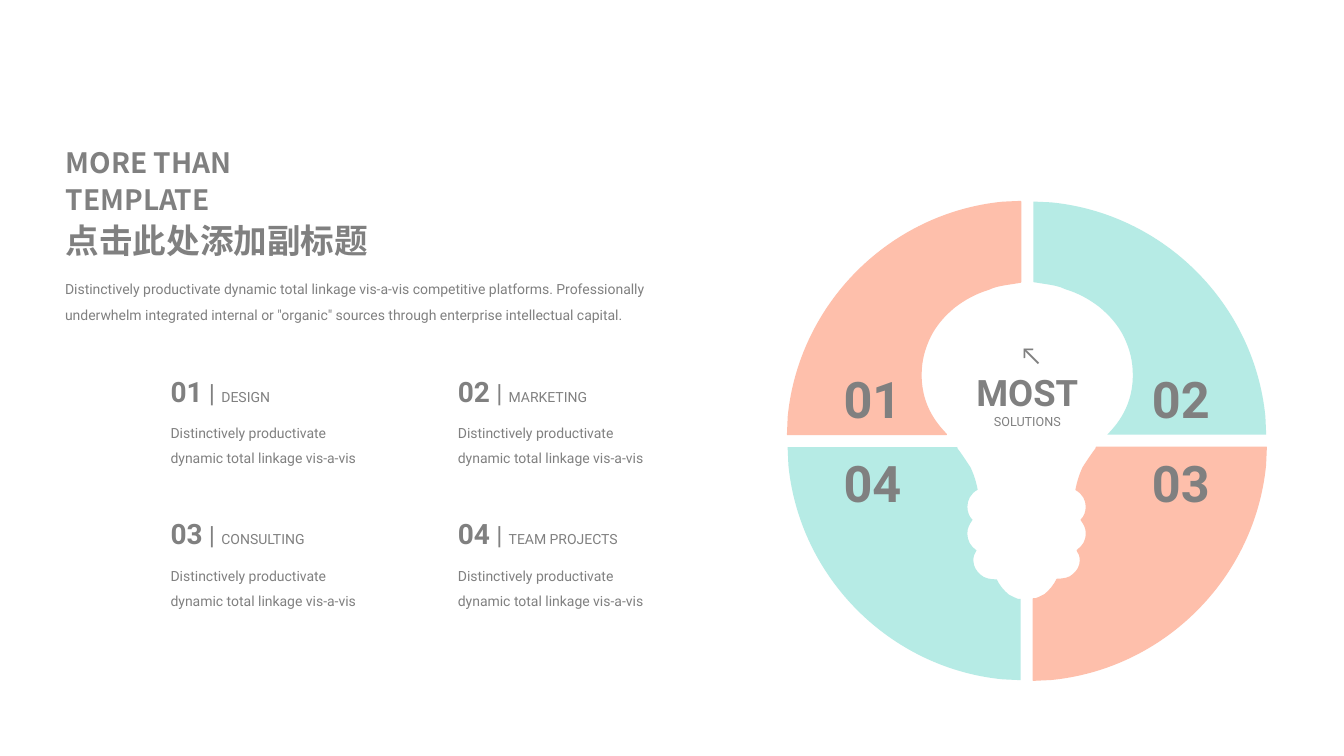
from dataclasses import dataclass

from lxml import etree
from pptx import Presentation
from pptx.dml.color import RGBColor
from pptx.enum.shapes import MSO_SHAPE
from pptx.enum.text import MSO_ANCHOR, MSO_AUTO_SIZE, PP_ALIGN
from pptx.oxml.ns import qn
from pptx.shapes.autoshape import Shape
from pptx.slide import Slide
from pptx.text.text import TextFrame
from pptx.util import Cm, Pt

LEFT, CENTER = PP_ALIGN.LEFT, PP_ALIGN.CENTER
TOP, MIDDLE = MSO_ANCHOR.TOP, MSO_ANCHOR.MIDDLE
FIT_SHAPE = MSO_AUTO_SIZE.SHAPE_TO_FIT_TEXT
RECTANGLE = MSO_SHAPE.RECTANGLE
GRAY = RGBColor(0x80, 0x80, 0x80)
CORAL = RGBColor(0xFE, 0xBF, 0xAB)
MINT = RGBColor(0xB6, 0xEB, 0xE5)
BODY_FONT, TITLE_FONT, ARROW_FONT = "Roboto", "Noto Sans CJK SC", "Calibri"

CENTER_X, CENTER_Y = 25.88, 11.11

UPPER_CONTOUR = [
    (-0.16, -4), (-0.48, -3.95),
    (-0.66, -3.92, -0.81, -3.9, -0.97, -3.82),
    (-1.3, -3.72, -1.57, -3.57, -1.83, -3.37),
    (-2.08, -3.16, -2.29, -2.93, -2.44, -2.63),
    (-2.59, -2.32, -2.67, -2.02, -2.67, -1.66),
    (-2.67, -1.13, -2.49, -0.67, -2.13, -0.27),
    (-2.03, -0.16), (-6.03, -0.16), (-6.01, -0.61),
    (-5.73, -3.45, -3.45, -5.73, -0.61, -6.01),
    (-0.16, -6.03),
]
LOWER_CONTOUR = [
    (-1.75, 0.16), (-1.75, 0.19),
    (-1.65, 0.32, -1.55, 0.47, -1.42, 0.67),
    (-1.32, 0.88, -1.27, 1.08, -1.24, 1.23),
    (-1.42, 1.33, -1.5, 1.49, -1.5, 1.66),
    (-1.5, 1.79, -1.45, 1.92, -1.37, 1.99),
    (-1.45, 2.1, -1.5, 2.2, -1.5, 2.32),
    (-1.5, 2.53, -1.42, 2.65, -1.27, 2.76),
    (-1.32, 2.83, -1.35, 2.91, -1.35, 3.01),
    (-1.35, 3.16, -1.27, 3.29, -1.17, 3.37),
    (-1.07, 3.47, -0.91, 3.49, -0.76, 3.49),
    (-0.69, 3.64, -0.58, 3.77, -0.46, 3.87),
    (-0.38, 3.92, -0.3, 3.95, -0.23, 3.98),
    (-0.16, 3.98), (-0.16, 6.03), (-0.61, 6.01),
    (-3.45, 5.73, -5.73, 3.45, -6.01, 0.61),
    (-6.03, 0.16),
]


@dataclass
class Span:
    text: str
    size: float
    bold: bool = False
    font: str = BODY_FONT


@dataclass
class Box:
    left: float
    top: float
    width: float
    height: float


@dataclass
class Sector:
    number: str
    is_right: bool
    is_lower: bool
    color: RGBColor
    has_line: bool = False
    has_plate: bool = False


@dataclass
class Item:
    number: str
    name: str
    width: float


SECTORS = [
    Sector("01", False, False, CORAL, has_line=True),
    Sector("02", True, False, MINT),
    Sector("04", False, True, MINT, has_plate=True),
    Sector("03", True, True, CORAL, has_line=True),
]
ITEMS = [
    Item("01", "DESIGN", 3.2),
    Item("02", "MARKETING", 3.94),
    Item("03", "CONSULTING", 4.17),
    Item("04", "TEAM PROJECTS", 4.8),
]


def place(shape: Shape, box: Box) -> None:
    shape.left, shape.top = Cm(box.left), Cm(box.top)
    shape.width, shape.height = Cm(box.width), Cm(box.height)


def fill_text(tf: TextFrame, lines: list[list[Span]], wrap: bool = False,
              align: PP_ALIGN = LEFT, spacing: float = 1.0) -> None:
    tf.word_wrap = wrap
    tf.auto_size = FIT_SHAPE
    for i, spans in enumerate(lines):
        p = tf.add_paragraph() if i else tf.paragraphs[0]
        p.alignment = align
        p.line_spacing = spacing
        for span in spans:
            r = p.add_run()
            r.text = span.text
            r.font.name = span.font
            r.font.size = Pt(span.size)
            r.font.bold = span.bold
            r.font.color.rgb = GRAY
            if span.font == TITLE_FONT:
                etree.SubElement(r.font._element, qn("a:ea"), typeface=span.font)


def add_text(s: Slide, box: Box, lines: list[list[Span]], wrap: bool = False,
             align: PP_ALIGN = LEFT, spacing: float = 1.0) -> None:
    sp = s.shapes.add_textbox(0, 0, 0, 0)
    fill_text(sp.text_frame, lines, wrap, align, spacing)
    place(sp, box)


def curve_segments(sp: Shape, steps: list[list[tuple[int, int]]]) -> None:
    segments = list(sp._element.iter(qn("a:lnTo")))
    for segment, points in zip(segments, steps[1:]):
        if len(points) == 1:
            continue
        curve = etree.Element(qn("a:cubicBezTo"))
        for x, y in points:
            etree.SubElement(curve, qn("a:pt"), x=str(x - sp.left), y=str(y - sp.top))
        segment.getparent().replace(segment, curve)


def add_sector(s: Slide, sector: Sector) -> None:
    side = -1 if sector.is_right else 1
    contour = LOWER_CONTOUR if sector.is_lower else UPPER_CONTOUR
    steps = [[(Cm(CENTER_X + side * x), Cm(CENTER_Y + y))
              for x, y in zip(step[::2], step[1::2])] for step in contour]
    ends = [points[-1] for points in steps]
    builder = s.shapes.build_freeform(*ends[0])
    builder.add_line_segments(ends[1:], close=True)
    sp = builder.convert_to_shape()
    curve_segments(sp, steps)
    sp.shadow.inherit = False
    sp.fill.solid()
    sp.fill.fore_color.rgb = sector.color
    if sector.has_line:
        sp.line.color.rgb = sector.color
        sp.line.width = Pt(1)
    else:
        sp.line.fill.background()


def add_number(s: Slide, sector: Sector) -> None:
    box = Box(28.78 if sector.is_right else 21.01,
              11.28 if sector.is_lower else 9.16, 1.98, 1.8)
    lines = [[Span(sector.number, 36, True)]]
    if not sector.has_plate:
        add_text(s, box, lines)
        return
    sp = s.shapes.add_shape(RECTANGLE, 0, 0, 0, 0)
    sp.shadow.inherit = False
    sp.fill.solid()
    sp.fill.fore_color.rgb = sector.color
    sp.line.fill.background()
    fill_text(sp.text_frame, lines)
    sp.text_frame.vertical_anchor = TOP
    place(sp, box)


def add_item(s: Slide, item: Item, left: float, top: float) -> None:
    heading = [Span(item.number, 20, True), Span(" | ", 18), Span(item.name, 10)]
    add_text(s, Box(left, top, item.width, 1.12), [heading])
    body = Span("Distinctively productivate dynamic total linkage vis-a-vis", 10)
    add_text(s, Box(left, top + 1.06, 5.66, 1.55), [[body]], wrap=True, spacing=1.5)


def main() -> None:
    prs = Presentation()
    prs.slide_width, prs.slide_height = Cm(33.87), Cm(19.05)
    s = prs.slides.add_slide(prs.slide_layouts[5])

    title = s.shapes.title
    fill_text(title.text_frame, [[Span("MORE THAN TEMPLATE", 20, True, TITLE_FONT)],
                                 [Span("点击此处添加副标题", 24, True, TITLE_FONT)]],
              wrap=True, spacing=1.1)
    title.text_frame.vertical_anchor = MIDDLE
    place(title, Box(1.4, 3.91, 8.38, 2.34))

    intro = ("Distinctively productivate dynamic total linkage vis-a-vis competitive "
             "platforms. Professionally underwhelm integrated internal or \"organic\" "
             "sources through enterprise intellectual capital.")
    add_text(s, Box(1.39, 6.74, 15.54, 1.55), [[Span(intro, 10)]], wrap=True, spacing=1.5)

    for sector in SECTORS:
        add_sector(s, sector)
    add_text(s, Box(24.3, 9.2, 3.18, 1.75),
             [[Span("MOST", 26, True)], [Span("SOLUTIONS", 9)]], align=CENTER)
    add_text(s, Box(25.45, 8.43, 1.14, 1.02), [[Span("↖", 18, font=ARROW_FONT)]])
    for sector in SECTORS:
        add_number(s, sector)

    for i, item in enumerate(ITEMS):
        row, col = divmod(i, 2)
        add_item(s, item, 4.05 + 7.24 * col, 9.3 + 3.6 * row)

    prs.save("out.pptx")


if __name__ == "__main__":
    main()
